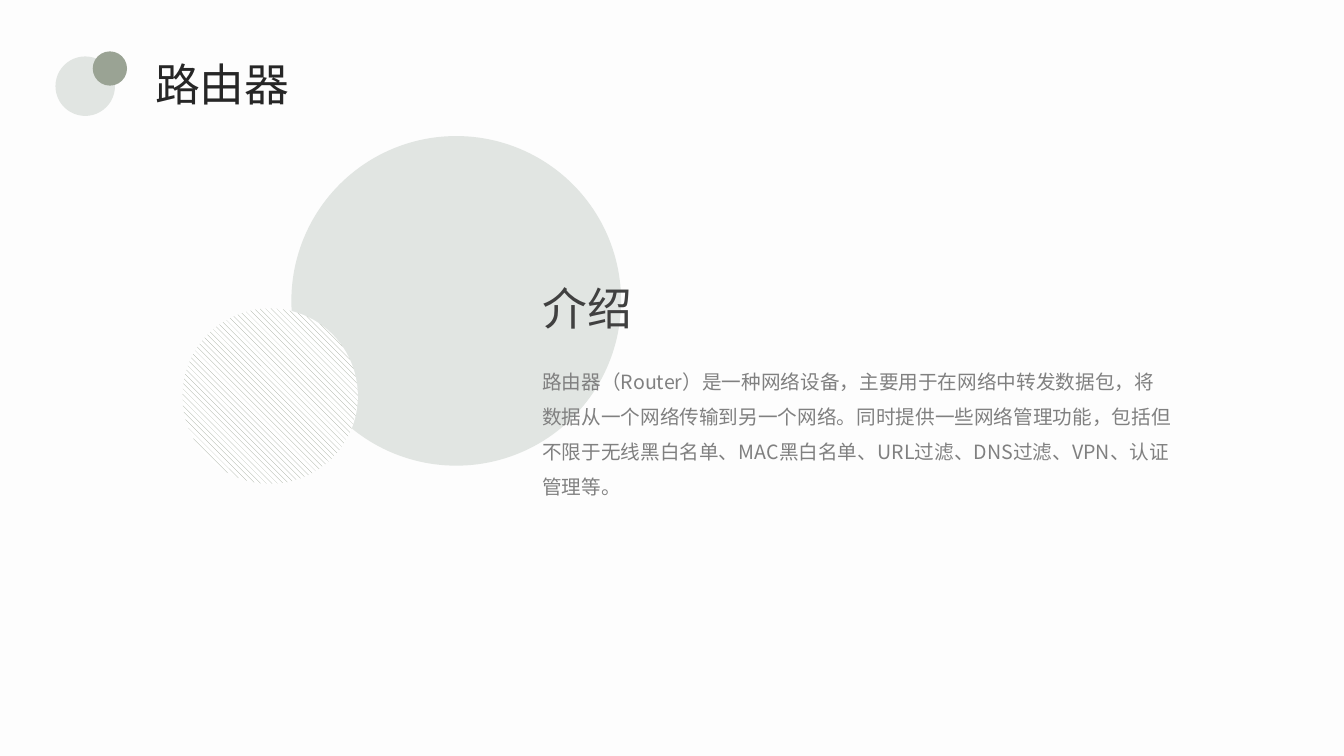
from lxml.etree import SubElement
from pptx import Presentation
from pptx.dml.color import RGBColor
from pptx.enum.dml import MSO_PATTERN
from pptx.enum.shapes import MSO_SHAPE
from pptx.enum.text import MSO_AUTO_SIZE as AutoSize
from pptx.oxml.ns import qn
from pptx.util import Inches, Pt

FONT = "Noto Sans CJK SC"
PALE, SAGE = "E1E5E2", "9AA394"
INTRODUCTION = (
    "路由器（Router）是一种网络设备，主要用于在网络中转发数据包，"
    "将数据从一个网络传输到另一个网络。同时提供一些网络管理功能，"
    "包括但不限于无线黑白名单、MAC黑白名单、URL过滤、DNS过滤、VPN、认证管理等。"
)


def color(hex_string):
    return RGBColor.from_string(hex_string)


def apply_format(target, values):
    for name, value in values.items():
        setattr(target, name, value)


class SlideBuilder:
    def __init__(self, slide, font):
        self.slide = slide
        self.font = font

    def background(self, fill_color):
        fill = self.slide.background.fill
        fill.solid()
        fill.fore_color.rgb = color(fill_color)

    def circle(self, left, top, diameter, fill_color, back_color=None, group=None):
        shapes = group.shapes if group else self.slide.shapes
        disc = shapes.add_shape(
            MSO_SHAPE.OVAL, Inches(left), Inches(top), Inches(diameter), Inches(diameter)
        )
        disc.shadow.inherit = False
        disc.line.fill.background()
        if back_color:
            disc.fill.patterned()
            disc.fill.pattern = MSO_PATTERN.WIDE_DOWNWARD_DIAGONAL
            disc.fill.back_color.rgb = color(back_color)
        else:
            disc.fill.solid()
        disc.fill.fore_color.rgb = color(fill_color)

    def text(self, left, top, width, height, words, size, text_color,
             wrap=False, line_spacing=None):
        box = self.slide.shapes.add_textbox(
            Inches(left), Inches(top), Inches(width), Inches(height)
        )
        frame = box.text_frame
        apply_format(frame, {"word_wrap": wrap, "auto_size": AutoSize.SHAPE_TO_FIT_TEXT})
        paragraph = frame.paragraphs[0]
        paragraph.line_spacing = line_spacing
        run = paragraph.add_run()
        run.text = words
        apply_format(run.font, {"name": self.font, "size": Pt(size)})
        run.font.color.rgb = color(text_color)
        SubElement(run._r.get_or_add_rPr(), qn("a:ea"), typeface=self.font)


def main():
    deck = Presentation()
    apply_format(deck, {"slide_width": Inches(13.33), "slide_height": Inches(7.5)})
    slide = deck.slides.add_slide(deck.slide_layouts[6])
    builder = SlideBuilder(slide, FONT)

    builder.background("FDFDFD")
    builder.circle(2.89, 1.35, 3.27, PALE)
    builder.text(1.44, 0.51, 1.55, 0.64, "路由器", 32, "262626")

    title_mark = slide.shapes.add_group_shape()
    builder.circle(0.55, 0.56, 0.59, PALE, group=title_mark)
    builder.circle(0.92, 0.51, 0.34, SAGE, group=title_mark)

    builder.text(5.28, 2.74, 1.1, 0.64, "介绍", 32, "404040")
    builder.text(5.28, 3.5, 6.46, 1.51, INTRODUCTION, 14, "808080",
                 wrap=True, line_spacing=1.5)
    builder.circle(1.81, 3.06, 1.74, SAGE, back_color="FFFFFF")

    deck.save("out.pptx")


if __name__ == "__main__":
    main()
